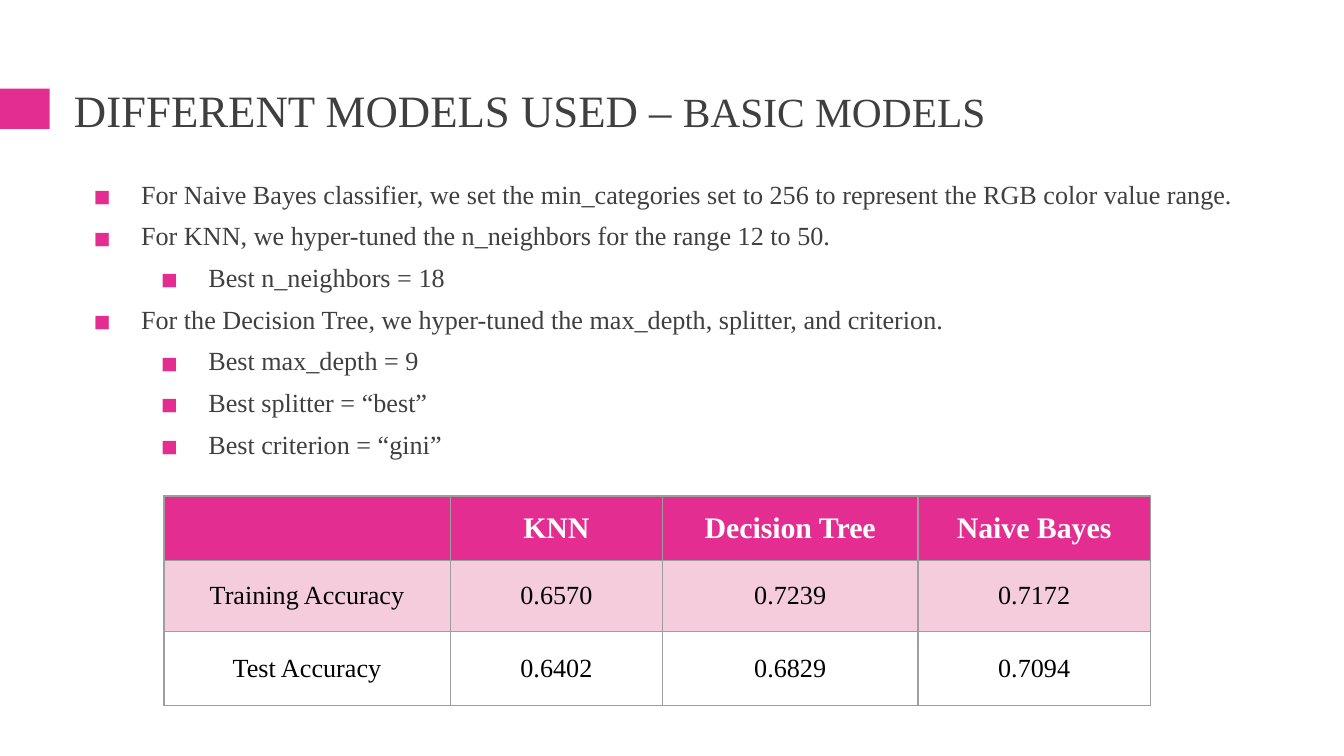
import pptx
import pptx.dml.color
import pptx.enum.shapes
import pptx.enum.text
import pptx.oxml
import pptx.oxml.ns
import pptx.util

RGBColor = pptx.dml.color.RGBColor
Inches, Pt = pptx.util.Inches, pptx.util.Pt
MIDDLE = pptx.enum.text.MSO_ANCHOR.MIDDLE
TOP = pptx.enum.text.MSO_ANCHOR.TOP

PINK = RGBColor(0xE3, 0x2D, 0x91)
PALE_PINK = RGBColor(0xF4, 0xCC, 0xDB)
WHITE = RGBColor(0xFF, 0xFF, 0xFF)
BLACK = RGBColor(0, 0, 0)
DARK = RGBColor(0x3F, 0x3F, 0x3F)
GRAY = RGBColor(0x9E, 0x9E, 0x9E)
FONT = "Times New Roman"

# Content
TITLE = [("DIFFERENT MODELS USED – ", 24), ("BASIC MODELS", 22.2)]
BULLETS = [
    (0, "For Naive Bayes classifier, we set the min_categories set to 256 "
        "to represent the RGB color value range."),
    (0, "For KNN, we hyper-tuned the n_neighbors for the range 12 to 50."),
    (1, "Best n_neighbors = 18"),
    (0, "For the Decision Tree, we hyper-tuned the max_depth, splitter, and criterion."),
    (1, "Best max_depth = 9"),
    (1, "Best splitter = “best”"),
    (1, "Best criterion = “gini”"),
]
ACCURACY = [
    ["", "KNN", "Decision Tree", "Naive Bayes"],
    ["Training Accuracy", "0.6570", "0.7239", "0.7172"],
    ["Test Accuracy", "0.6402", "0.6829", "0.7094"],
]
COLUMN_WIDTHS = [2.13, 1.58, 1.9, 1.73]
ROW_HEIGHTS = [0.48, 0.53, 0.55]
# Fill, text colour, size and bold of each row
ROW_STYLES = [(PINK, WHITE, 16, True), (PALE_PINK, BLACK, 14, False),
              (WHITE, BLACK, 14, False)]


def style(font, size, color, bold=False):
    font.name, font.size, font.bold = FONT, Pt(size), bold
    font.color.rgb = color


def place(shape, left, top, width, height, anchor):
    shape.left, shape.top = Inches(left), Inches(top)
    shape.width, shape.height = Inches(width), Inches(height)
    frame = shape.text_frame
    frame.margin_left = frame.margin_right = Inches(0.07)
    frame.margin_top = frame.margin_bottom = Inches(0.04)
    frame.vertical_anchor = anchor
    frame.word_wrap = True
    frame.auto_size = pptx.enum.text.MSO_AUTO_SIZE.NONE
    return frame


def add_xml(parent, tag, content="", **attributes):
    pairs = "".join(f' {name}="{value}"' for name, value in attributes.items())
    namespace = pptx.oxml.ns.nsdecls("a")
    parent.append(pptx.oxml.parse_xml(f"<a:{tag} {namespace}{pairs}>{content}</a:{tag}>"))


def add_bullet(para, level):
    properties = para._p.get_or_add_pPr()
    properties.set("marL", str(Inches(0.5 * (level + 1))))
    properties.set("indent", str(Inches(-0.35)))
    add_xml(properties, "buClr", f'<a:srgbClr val="{PINK}"/>')
    add_xml(properties, "buFont", typeface="Noto Sans Symbols")
    add_xml(properties, "buChar", char="◼")


def add_borders(cell):
    properties = cell._tc.get_or_add_tcPr()
    line = f'<a:solidFill><a:srgbClr val="{GRAY}"/></a:solidFill>'
    for side in ("lnL", "lnR", "lnT", "lnB"):
        add_xml(properties, side, line, w=Pt(0.75))


# Widescreen deck, 16:9
deck = pptx.Presentation()
deck.slide_width = Inches(10)
deck.slide_height = deck.slide_width * 9 // 16
page = deck.slides.add_slide(deck.slide_layouts[1])
title, body = page.placeholders

# Accent block at the left edge
accent = page.shapes.add_shape(pptx.enum.shapes.MSO_SHAPE.RECTANGLE, 0,
                               Inches(0.66), Inches(0.37), Inches(0.3))
accent.shadow.inherit = False
accent.fill.solid()
accent.fill.fore_color.rgb = PINK
accent.line.fill.background()

# Title, raised slightly to line up with the accent block
frame = place(title, 0.48, 0.58, 9.05, 0.61, MIDDLE)
frame.margin_bottom = Inches(0.13)
para = frame.paragraphs[0]
para.alignment = pptx.enum.text.PP_ALIGN.LEFT
para.line_spacing = 0.9
for text, size in TITLE:
    span = para.add_run()
    span.text = text
    style(span.font, size, DARK)

# Bullet list
frame = place(body, 0.48, 1.25, 8.83, 2.83, TOP)
frame.text = "\n".join(text for level, text in BULLETS)
for index, (para, (level, text)) in enumerate(zip(frame.paragraphs, BULLETS)):
    para.level = level
    para.line_spacing = 1.15
    para.space_before = Pt(3 if index else 0)
    add_bullet(para, level)
    style(para.runs[0].font, 14, DARK)

# Accuracy table
table = page.shapes.add_table(
    len(ACCURACY), len(COLUMN_WIDTHS), Inches(1.22), Inches(3.69),
    Inches(sum(COLUMN_WIDTHS)), Inches(sum(ROW_HEIGHTS))).table
for column, width in zip(table.columns, COLUMN_WIDTHS):
    column.width = Inches(width)
for row, height, values, (fill, color, size, bold) in zip(
        table.rows, ROW_HEIGHTS, ACCURACY, ROW_STYLES):
    row.height = Inches(height)
    for cell, value in zip(row.cells, values):
        cell.text = value
        cell.vertical_anchor = MIDDLE
        cell.margin_left = cell.margin_right = Inches(0.1)
        cell.margin_top = cell.margin_bottom = Inches(0.1)
        add_borders(cell)
        cell.fill.solid()
        cell.fill.fore_color.rgb = fill
        para = cell.text_frame.paragraphs[0]
        para.alignment = pptx.enum.text.PP_ALIGN.CENTER
        style(para.font, size, color, bold)
        for span in para.runs:
            style(span.font, size, color, bold)

deck.save("out.pptx")
